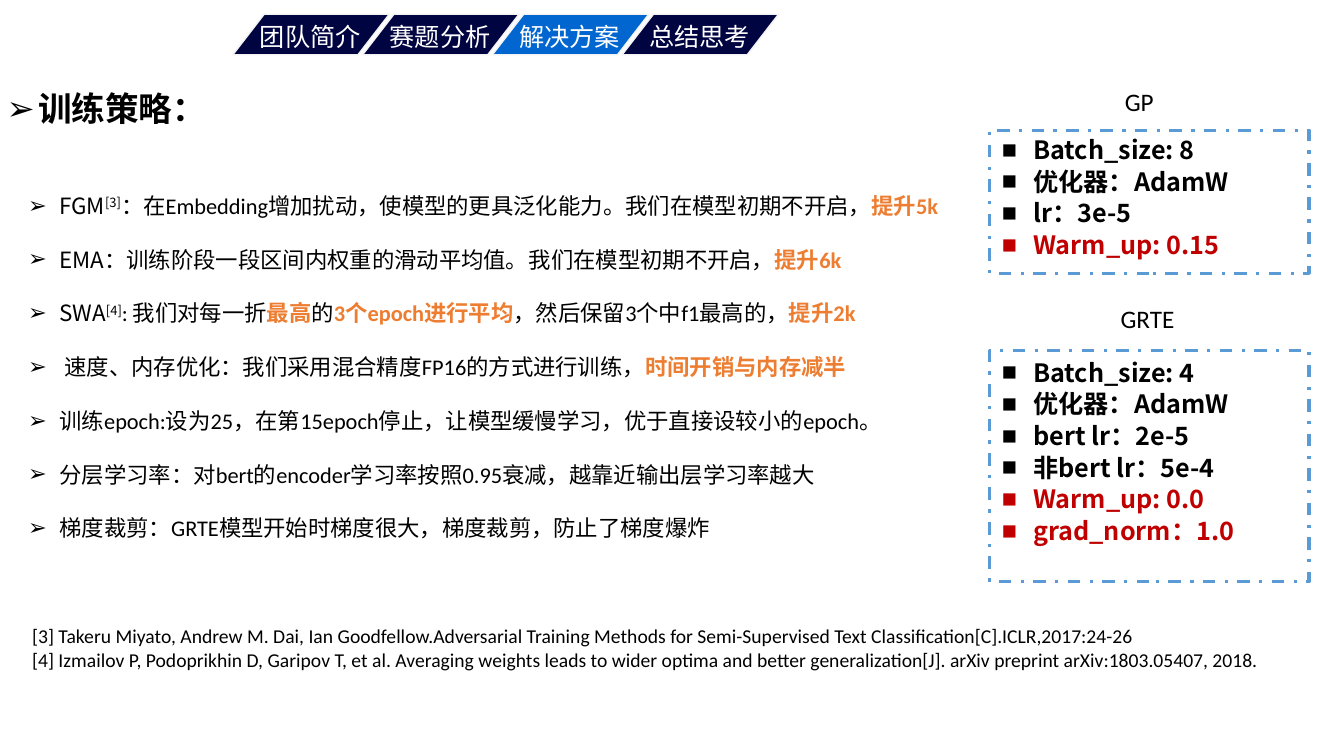
from lxml import etree
from pptx import Presentation
from pptx.dml.color import RGBColor
from pptx.enum import dml, shapes, text
from pptx.oxml import ns
from pptx.util import Cm, Pt

NAVY = RGBColor(0x00, 0x04, 0x41)
BLUE = RGBColor(0x01, 0x66, 0xD0)
PALE = RGBColor(0xF2, 0xF2, 0xF2)
WHITE = RGBColor(0xFF, 0xFF, 0xFF)
BLACK = RGBColor(0x00, 0x00, 0x00)
ORANGE = RGBColor(0xED, 0x7D, 0x31)
RED = RGBColor(0xC0, 0x00, 0x00)
BORDER = RGBColor(0x5B, 0x9B, 0xD5)
NOTO = "Noto Sans CJK SC"
LATIN = "Calibri"

SANS = {"name": NOTO}
RAISED = {"name": NOTO, "baseline": 30}
PLAIN = {"name": LATIN}
STRONG = {"name": LATIN, "color": ORANGE, "bold": True}
SETTING = {"name": NOTO, "size": Pt(18), "bold": True}
WARNING = {**SETTING, "color": RED}

TABS = ["团队简介", "赛题分析", "解决方案", "总结思考"]
CURRENT_TAB = "解决方案"
STRATEGIES = [
    [("FGM", SANS), ("[3]", RAISED),
     ("：在Embedding增加扰动，使模型的更具泛化能力", PLAIN),
     ("。我们在模型初期不开启，", SANS), ("提升5k", STRONG)],
    [("EMA", SANS), ("：训练阶段一段区间内权重的滑动平均值。", PLAIN),
     ("我们在模型初期不开启，", SANS), ("提升6k", STRONG)],
    [("SWA", SANS), ("[4]", RAISED), (": 我们对每一折", PLAIN),
     ("最高", STRONG), ("的", PLAIN), ("3个epoch进行平均", STRONG),
     ("，然后保留3个中f1最高的，", PLAIN), ("提升2k", STRONG)],
    [(" ", SANS), ("速度、内存优化：我们采用混合精度FP16的方式进行训练，", PLAIN),
     ("时间开销与内存减半", STRONG)],
    [("训练epoch:设为25，在第15epoch停止，让模型缓慢学习，优于直接设较小的epoch。", PLAIN)],
    [("分层学习率：对bert的encoder学习率按照0.95衰减，越靠近输出层学习率越大", PLAIN)],
    [("梯度裁剪：GRTE模型开始时梯度很大，梯度裁剪，防止了梯度爆炸", PLAIN)],
]
GP_SETTINGS = [("Batch_size: 8", SETTING), ("优化器：AdamW", SETTING),
               ("lr：3e-5", SETTING), ("Warm_up: 0.15", WARNING)]
GRTE_SETTINGS = [("Batch_size: 4", SETTING), ("优化器：AdamW", SETTING),
                 ("bert lr：2e-5", SETTING), ("非bert lr：5e-4", SETTING),
                 ("Warm_up: 0.0", WARNING), ("grad_norm：1.0", WARNING)]
REFERENCES = [
    "[3] Takeru Miyato, Andrew M. Dai, Ian Goodfellow.Adversarial Training Methods for "
    "Semi-Supervised Text Classification[C].ICLR,2017:24-26",
    "[4] Izmailov P, Podoprikhin D, Garipov T, et al. Averaging weights leads to wider optima "
    "and better generalization[J]. arXiv preprint arXiv:1803.05407, 2018.",
]


def set_values(target, values):
    """Set each named value as an attribute of the target."""
    for name, value in values.items():
        setattr(target, name, value)


def add_run(paragraph, words, style):
    """Add a run with its font, colour and optional raised baseline."""
    values = {"size": Pt(16), "bold": False, **style}
    color = values.pop("color", BLACK)
    baseline = values.pop("baseline", 0)
    run = paragraph.add_run()
    run.text = words
    set_values(run.font, values)
    run.font.color.rgb = color
    properties = run.font._element
    if baseline:
        properties.set("baseline", str(baseline * 1000))
    etree.SubElement(properties, ns.qn("a:ea"), typeface=NOTO)


def set_indent(paragraph, margin, hanging, bullet):
    """Give a paragraph a hanging indent and an optional bullet."""
    properties = paragraph._p.get_or_add_pPr()
    properties.set("marL", str(Cm(margin)))
    properties.set("indent", str(-Cm(hanging)))
    if bullet:
        etree.SubElement(properties, ns.qn("a:buFont"), typeface="Arial")
        etree.SubElement(properties, ns.qn("a:buChar"), char=bullet)


def add_text(container, box, lines, indent=None, bullet=None, frame_values=None, **paragraph_values):
    """Add a text box with one paragraph for each list of runs."""
    frame = container.add_textbox(*map(Cm, box)).text_frame
    set_values(frame, {"word_wrap": True, "auto_size": text.MSO_AUTO_SIZE.SHAPE_TO_FIT_TEXT,
                       **(frame_values or {})})
    for index, runs in enumerate(lines):
        paragraph = frame.add_paragraph() if index else frame.paragraphs[0]
        set_values(paragraph, paragraph_values)
        if indent:
            set_indent(paragraph, *indent, bullet)
        for words, style in runs:
            add_run(paragraph, words, style)


def add_outline(container, kind, box, fill, line_values, line_color):
    """Add a preset shape with an outline and an optional fill."""
    shape = container.add_shape(kind, *map(Cm, box))
    shape.shadow.inherit = False
    if fill is None:
        shape.fill.background()
    else:
        shape.fill.solid()
        shape.fill.fore_color.rgb = fill
    shape.line.color.rgb = line_color
    set_values(shape.line, line_values)


def add_tab(slide, index, label):
    """Add one slanted navigation tab and its label."""
    offset = 3.27 * index
    fill = BLUE if label == CURRENT_TAB else NAVY
    add_outline(slide.shapes, shapes.MSO_SHAPE.FLOWCHART_DATA, (5.87 + offset, 0.36, 3.94, 1.02),
                fill, {"width": Pt(1)}, PALE)
    style = {"name": NOTO, "size": Pt(18), "color": WHITE}
    add_text(slide.shapes, (6.3 + offset, 0.42, 3.35, 1.02), [[(label, style)]])


def add_panel(slide, top, height, text_gap, settings):
    """Add a dashed panel that lists the settings of one model."""
    panel = slide.shapes.add_group_shape().shapes
    add_outline(panel, shapes.MSO_SHAPE.RECTANGLE, (24.94, top, 8.05, height), None,
                {"width": Pt(2.25), "dash_style": dml.MSO_LINE.DASH_DOT}, BORDER)
    margins = {"margin_left": 0, "margin_right": 0, "margin_top": Cm(0.03), "margin_bottom": 0}
    add_text(panel, (25.2, top + text_gap, 7.01, height - 1), [[setting] for setting in settings],
             (0.84, 0.79), "■", margins, space_before=Pt(1))


def add_caption(slide, box, label, alignment):
    """Add the model name above a panel."""
    style = {"name": LATIN, "size": Pt(18)}
    add_text(slide.shapes, box, [[(label, style)]], alignment=alignment)


def main():
    """Build the training strategy slide."""
    presentation = Presentation()
    set_values(presentation, {"slide_width": Cm(33.87), "slide_height": Cm(19.05)})
    slide = presentation.slides.add_slide(presentation.slide_layouts[6])
    for index, label in enumerate(TABS):
        add_tab(slide, index, label)
    heading = {"name": "Arial", "size": Pt(24), "bold": True}
    add_text(slide.shapes, (-0.08, 2.13, 12.8, 1.24), [[("训练策略：", heading)]],
             (0.79, 0.79), "➢", line_spacing=Pt(28))
    add_text(slide.shapes, (0.46, 4.04, 23.85, 11), STRATEGIES, (0.79, 0.79), "➢", line_spacing=2.0)
    add_panel(slide, 3.28, 3.61, 0.08, GP_SETTINGS)
    add_caption(slide, (26.82, 2.06, 3.78, 1.02), "GP", text.PP_ALIGN.CENTER)
    add_panel(slide, 8.84, 5.82, 0.13, GRTE_SETTINGS)
    add_caption(slide, (27.99, 7.52, 3.53, 1.02), "GRTE", text.PP_ALIGN.LEFT)
    citation = {"name": LATIN, "size": Pt(14)}
    add_text(slide.shapes, (0.56, 15.6, 33.3, 2.64),
             [[(reference, citation)] for reference in REFERENCES], (0.48, 0.48))
    presentation.save("out.pptx")


if __name__ == "__main__":
    main()
